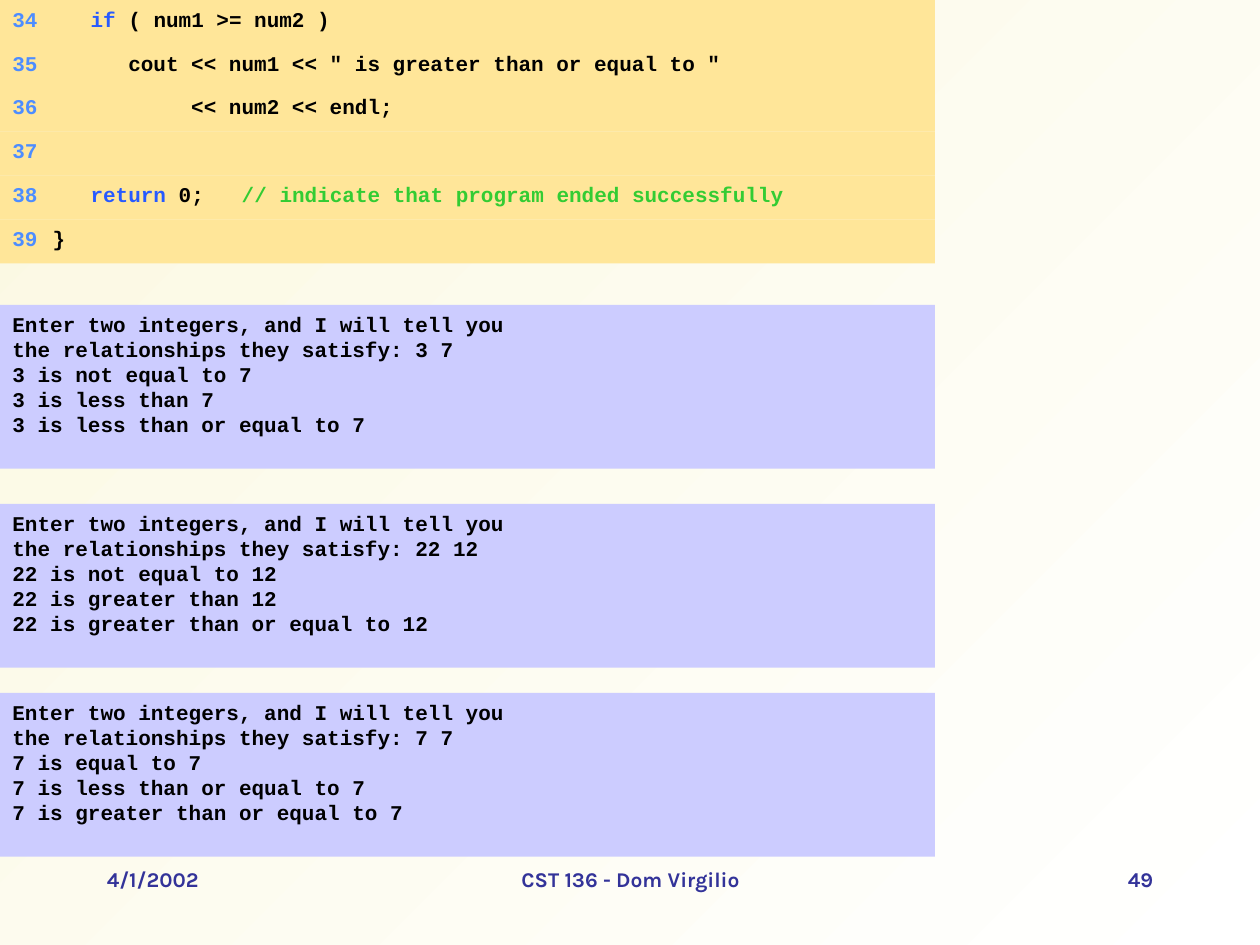
from lxml.etree import SubElement
from pptx import Presentation
from pptx.dml.color import RGBColor
from pptx.enum.shapes import MSO_SHAPE as SHAPE
from pptx.enum.text import MSO_ANCHOR as ANCHOR, PP_ALIGN as ALIGN
from pptx.oxml.ns import qn
from pptx.util import Inches, Pt

COLORS = {
    "white": "FFFFFF", "cream": "FBF8E1", "code_fill": "FFE699",
    "output_fill": "CCCCFF", "number": "4D8DFF", "keyword": "275AFF",
    "comment": "33CC33", "text": "000000", "footer": "333399",
}
PANEL_WIDTH = 7.42
CODE_HEIGHT = 2.09
CODE_TABS = [(0, "l"), (0.15, "r"), (0.32, "l")] + [(i, "l") for i in range(1, 6)]
OUTPUT_TABS = [(0, "l")] + [(round(i / 3, 2), "l") for i in range(2, 9)]

FIRST_LINE = 34
CODE = [
    [("   ", "text"), ("if", "keyword"), (" ( num1 >= num2 )", "text")],
    [('      cout << num1 << " is greater than or equal to "', "text")],
    [("           << num2 << endl;", "text")],
    [],
    [("   ", "text"), ("return", "keyword"), (" 0;   ", "text"),
     ("// indicate that program ended successfully", "comment")],
    [("}", "text")],
]
PROMPT = "Enter two integers, and I will tell you"
OUTPUTS = [
    (2.42, ["the relationships they satisfy: 3 7", "3 is not equal to 7",
            "3 is less than 7", "3 is less than or equal to 7"]),
    (4, ["the relationships they satisfy: 22 12", "22 is not equal to 12",
         "22 is greater than 12", "22 is greater than or equal to 12"]),
    (5.5, ["the relationships they satisfy: 7 7", "7 is equal to 7",
           "7 is less than or equal to 7", "7 is greater than or equal to 7"]),
]
FOOTERS = [
    (3.42, 3.17, "CST 136 - Dom Virgilio", ALIGN.CENTER),
    (7.17, 2.08, "49", ALIGN.RIGHT),
    (0.75, 2.08, "4/1/2002", ALIGN.LEFT),
]


def rgb(name):
    return RGBColor.from_string(COLORS[name])


def set_background(s):
    fill = s.background.fill
    fill.gradient()
    fill.gradient_angle = 135
    for stop, position, name in zip(fill.gradient_stops, (0, 1), ("white", "cream")):
        stop.position = position
        stop.color.rgb = rgb(name)


def set_tabs(p, tabs):
    tab_list = SubElement(p._p.get_or_add_pPr(), qn("a:tabLst"))
    for position, align in tabs:
        SubElement(tab_list, qn("a:tab"), pos=str(Inches(position)), algn=align)


def write_paragraph(p, runs, font="Courier New", align=ALIGN.LEFT, tabs=()):
    """Fill a paragraph with (text, colour name) runs in 12 point bold."""
    p.alignment = align
    if tabs:
        set_tabs(p, tabs)
    p.font.name, p.font.size, p.font.bold = font, Pt(12), True
    for text, color in runs:
        r = p.add_run()
        r.text = text
        r.font.color.rgb = rgb(color)


def add_panel(s, top, height, fill, lines, tabs):
    """Add a filled strip at the left edge with one paragraph per line."""
    sp = s.shapes.add_shape(SHAPE.RECTANGLE, 0, Inches(top),
                            Inches(PANEL_WIDTH), Inches(height))
    sp.shadow.inherit = False
    sp.fill.solid()
    sp.fill.fore_color.rgb = rgb(fill)
    sp.line.fill.background()
    tf = sp.text_frame
    tf.word_wrap = True
    tf.vertical_anchor = ANCHOR.TOP
    for i, runs in enumerate(lines):
        p = tf.add_paragraph() if i else tf.paragraphs[0]
        write_paragraph(p, runs, tabs=tabs)


def add_code(s):
    row = CODE_HEIGHT / len(CODE)
    for i, runs in enumerate(CODE):
        line = [(f"\t{FIRST_LINE + i}\t", "number")] + runs
        add_panel(s, i * row, row, "code_fill", [line], CODE_TABS)


def add_output(s, top, results):
    lines = [[(text, "text")] for text in [PROMPT] + results]
    add_panel(s, top, 1.3, "output_fill", lines, OUTPUT_TABS)


def add_footer(s, left, width, text, align):
    tf = s.shapes.add_textbox(Inches(left), Inches(6.83),
                              Inches(width), Inches(0.5)).text_frame
    tf.word_wrap = True
    write_paragraph(tf.paragraphs[0], [(text, "footer")], "Karla", align)


def main():
    prs = Presentation()
    prs.slide_width, prs.slide_height = Inches(10), Inches(7.5)
    s = prs.slides.add_slide(prs.slide_layouts[6])
    set_background(s)
    add_code(s)
    for top, results in OUTPUTS:
        add_output(s, top, results)
    for footer in FOOTERS:
        add_footer(s, *footer)
    prs.save("out.pptx")


if __name__ == "__main__":
    main()
